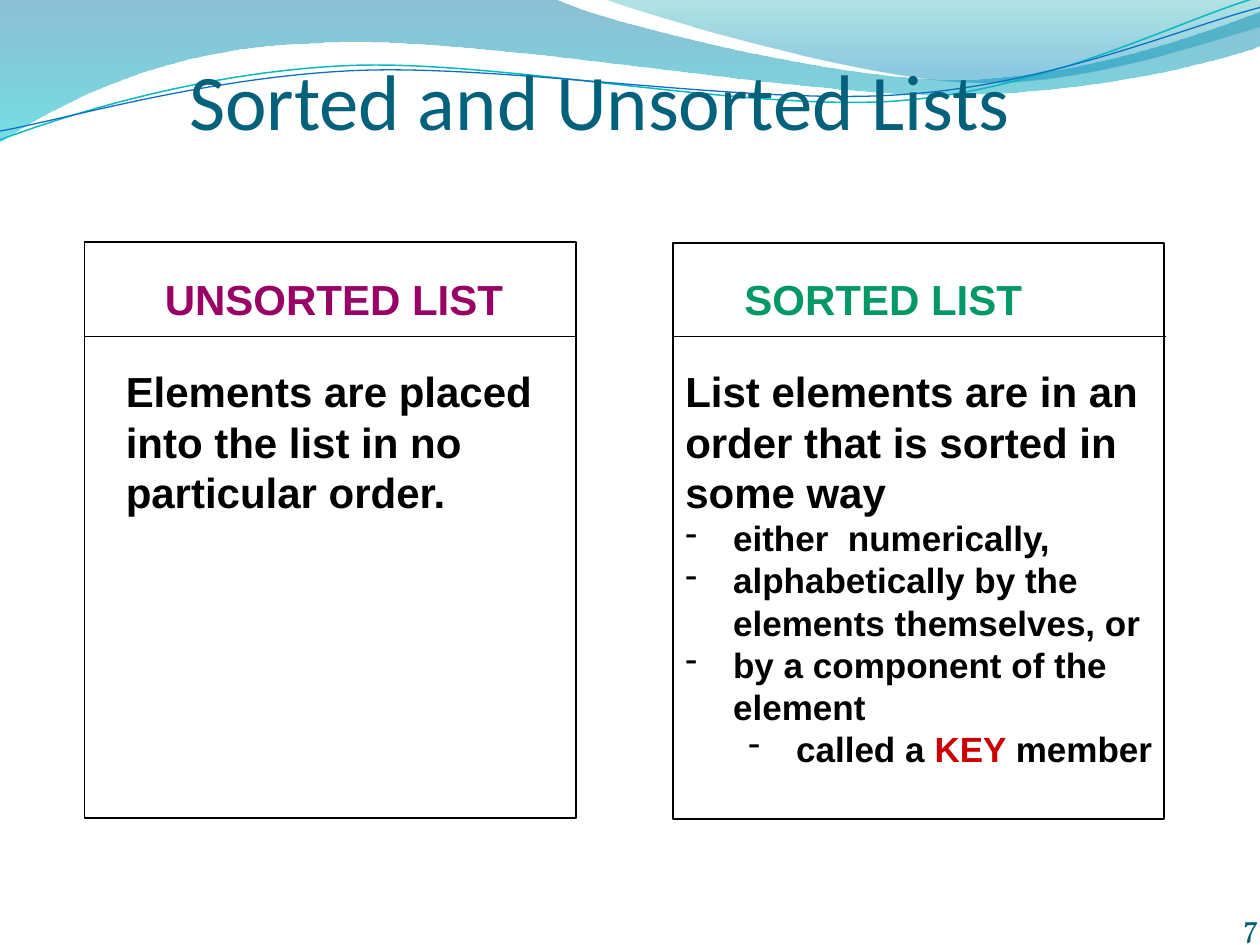
"""Build the slide comparing sorted and unsorted lists."""
from math import cos, radians, sin

from lxml.etree import SubElement
from pptx import Presentation
from pptx.dml.color import RGBColor
from pptx.enum.shapes import MSO_CONNECTOR as Connector, MSO_SHAPE as Shape
from pptx.enum.text import MSO_ANCHOR as Anchor, PP_ALIGN as Align
from pptx.oxml.ns import qn
from pptx.util import Inches, Pt

BLACK = RGBColor(0x00, 0x00, 0x00)
WHITE = RGBColor(0xFF, 0xFF, 0xFF)
TITLE_TEAL = RGBColor(0x04, 0x61, 0x7B)
NUMBER_TEAL = RGBColor(0x04, 0x5D, 0x75)
PURPLE = RGBColor(0x99, 0x00, 0x66)
GREEN = RGBColor(0x00, 0x99, 0x66)
RED = RGBColor(0xCC, 0x00, 0x00)
DEEP_BLUE = RGBColor(0x00, 0x74, 0xA1)
CYAN = RGBColor(0x00, 0xC6, 0xCF)
SEA_GREEN = RGBColor(0x00, 0xA1, 0xA9)
SKY_BLUE = RGBColor(0x00, 0x8B, 0xBF)
LINE_TEAL = RGBColor(0x0A, 0xB8, 0xBF)
LINE_BLUE = RGBColor(0x0F, 0x6F, 0xC6)
TILT = 2.7
BULLETS = (0.38, 0.88)

deck = Presentation()
deck.slide_width, deck.slide_height = Inches(10), Inches(7.5)
page = deck.slides.add_slide(deck.slide_layouts[6])


def add_wave(start, segments, closed):
    """Draw straight (one point) and Bezier (three point) segments."""
    points = [(Inches(x), Inches(y)) for segment in segments for x, y in segment]
    builder = page.shapes.build_freeform(Inches(start[0]), Inches(start[1]))
    builder.add_line_segments(points, close=closed)
    wave = builder.convert_to_shape()
    wave.shadow.inherit = False
    steps = iter(list(wave._element.iter(qn("a:lnTo"))))
    for segment in segments:
        curve = next(steps)
        if len(segment) == 3:
            curve.tag = qn("a:cubicBezTo")
            for _ in range(2):
                step = next(steps)
                curve.append(step[0])
                step.getparent().remove(step)
    return wave


def add_text(left, top, width, height, insets, anchor, paragraphs):
    """Add a text box from (paragraph format, indent, spans) entries."""
    box = page.shapes.add_textbox(Inches(left), Inches(top), Inches(width), Inches(height))
    frame = box.text_frame
    frame.word_wrap, frame.vertical_anchor = True, anchor
    for side, inset in zip(("left", "top", "right", "bottom"), insets):
        setattr(frame, f"margin_{side}", Inches(inset))
    for index, (layout, indent, spans) in enumerate(paragraphs):
        para = frame.add_paragraph() if index else frame.paragraphs[0]
        for name, value in layout.items():
            setattr(para, name, value)
        if indent:
            props = para._p.get_or_add_pPr()
            props.set("marL", str(Inches(indent)))
            if indent in BULLETS:
                props.set("indent", str(Inches(-0.38)))
                SubElement(props, qn("a:buFontTx"))
                SubElement(props, qn("a:buChar")).set("char", "-")
        for words, color, style in spans:
            span = para.add_run()
            span.text = words
            span.font.color.rgb = color
            for name, value in style.items():
                setattr(span.font, name, value)


bands = [
    ((0, 0), [
        [(4.4, -0.01)],
        [(4.76, 0.17), (6.64, 0.63), (7.58, 0.63)],
        [(8.53, 0.63), (9.58, 0.26), (10, 0.09)],
        [(10.01, 0.36)],
        [(9.83, 0.44), (8.7, 0.76), (7.46, 0.75)],
        [(6.22, 0.75), (3.82, 0.28), (2.57, 0.34)],
        [(1.29, 0.36), (0.46, 0.83), (-0.01, 1.13)],
        [(0, 0)],
    ], [(0, DEEP_BLUE, 45), (1, CYAN, 55)]),
    ((4.79, -0.01), [
        [(5.09, 0.11), (6.82, 0.62), (7.69, 0.65)],
        [(8.56, 0.69), (9.61, 0.32), (10, 0.21)],
        [(10, 0)],
        [(4.79, -0.01)],
    ], [(0, SEA_GREEN, 30), (0.8, SKY_BLUE, 45)]),
]
for start, segments, stops in bands:
    band = add_wave(start, segments, True)
    band.line.fill.background()
    band.fill.gradient()
    band.fill.gradient_angle = 270
    for stop, (position, color, opacity) in zip(band.fill.gradient_stops, stops):
        stop.position, stop.color.rgb = position, color
    tints = band._element.spPr.iter(qn("a:srgbClr"))
    for tint, (position, color, opacity) in zip(tints, stops):
        SubElement(tint, qn("a:alpha")).set("val", str(opacity * 1000))

strands = [
    ((4.99, 0.57), [
        [(0, 1.11)],
        [(0.48, 0.93), (1.58, 0.57), (2.77, 0.52)],
        [(3.95, 0.47), (5.93, 0.89), (7.13, 0.8)],
        [(8.33, 0.71), (9.38, 0.15), (9.98, -0.02)],
    ], LINE_TEAL, 0.85),
    ((5, 0.59), [
        [(0, 1.04)],
        [(0.47, 0.96), (1.64, 0.61), (2.83, 0.56)],
        [(4.03, 0.51), (5.97, 0.84), (7.17, 0.75)],
        [(8.36, 0.67), (9.41, 0.21), (10, 0.06)],
    ], LINE_BLUE, 0.75),
]
turn_x, turn_y = cos(radians(TILT)), sin(radians(TILT))
for (mid_x, mid_y), segments, color, weight in strands:
    level = [[(mid_x + (x - mid_x) * turn_x - (y - mid_y) * turn_y,
               mid_y + (x - mid_x) * turn_y + (y - mid_y) * turn_x)
              for x, y in segment] for segment in segments]
    strand = add_wave(level[0][0], level[1:], False)
    strand.rotation = 360 - TILT
    strand.fill.background()
    strand.line.color.rgb, strand.line.width = color, Pt(weight)

add_text(1.5, 0.33, 8.08, 0.83, (0, 0.05, 0, 0), Anchor.BOTTOM, [
    ({}, None, [("Sorted and Unsorted Lists", TITLE_TEAL, {"name": "Calibri", "size": Pt(45)})]),
])
add_text(7.91, 7, 2.08, 0.5, (0, 0, 0, 0), Anchor.BOTTOM, [
    ({"alignment": Align.RIGHT}, None, [("7", NUMBER_TEAL, {"name": "Vollkorn", "size": Pt(18)})]),
])

for left, top in ((0.67, 1.92), (5.34, 1.93)):
    card = page.shapes.add_shape(Shape.RECTANGLE, Inches(left), Inches(top), Inches(3.9), Inches(4.57))
    card.shadow.inherit = False
    card.fill.solid()
    card.fill.fore_color.rgb = WHITE
    card.line.color.rgb, card.line.width = BLACK, Pt(1)

large = {"name": "Arial", "size": Pt(24), "bold": True}
small = {**large, "size": Pt(20)}
gap = {"space_before": Pt(24)}
unsorted_text = [
    ({}, 0.31, [("UNSORTED LIST", PURPLE, large)]),
    (gap, None, [("Elements are placed into the list in no particular order.", BLACK, large)]),
]
sorted_text = [
    ({}, 0.47, [("SORTED LIST", GREEN, large)]),
    (gap, None, [("List elements are in an order that is sorted in", BLACK, large)]),
    ({}, None, [("some way", BLACK, large)]),
    ({}, 0.38, [("either  numerically,", BLACK, small)]),
    ({}, 0.38, [("alphabetically by the elements themselves, or", BLACK, small)]),
    ({}, 0.38, [("by a component of the element", BLACK, small)]),
    ({"level": 1}, 0.88, [
        ("called a", BLACK, small), (" KEY ", RED, small), ("member", BLACK, small),
    ]),
]
for area, paragraphs in (((0.9, 2.12, 3.43, 2.39), unsorted_text),
                         ((5.34, 2.12, 3.91, 4.41), sorted_text)):
    add_text(*area, (0.1, 0.05, 0.1, 0.05), Anchor.TOP, paragraphs)

for left, right in ((0.67, 4.58), (5.33, 9.25)):
    divider = page.shapes.add_connector(
        Connector.STRAIGHT, Inches(left), Inches(2.67), Inches(right), Inches(2.67))
    divider.line.color.rgb, divider.line.width = BLACK, Pt(1)
    SubElement(divider._element.spPr, qn("a:effectLst"))

deck.save("out.pptx")
